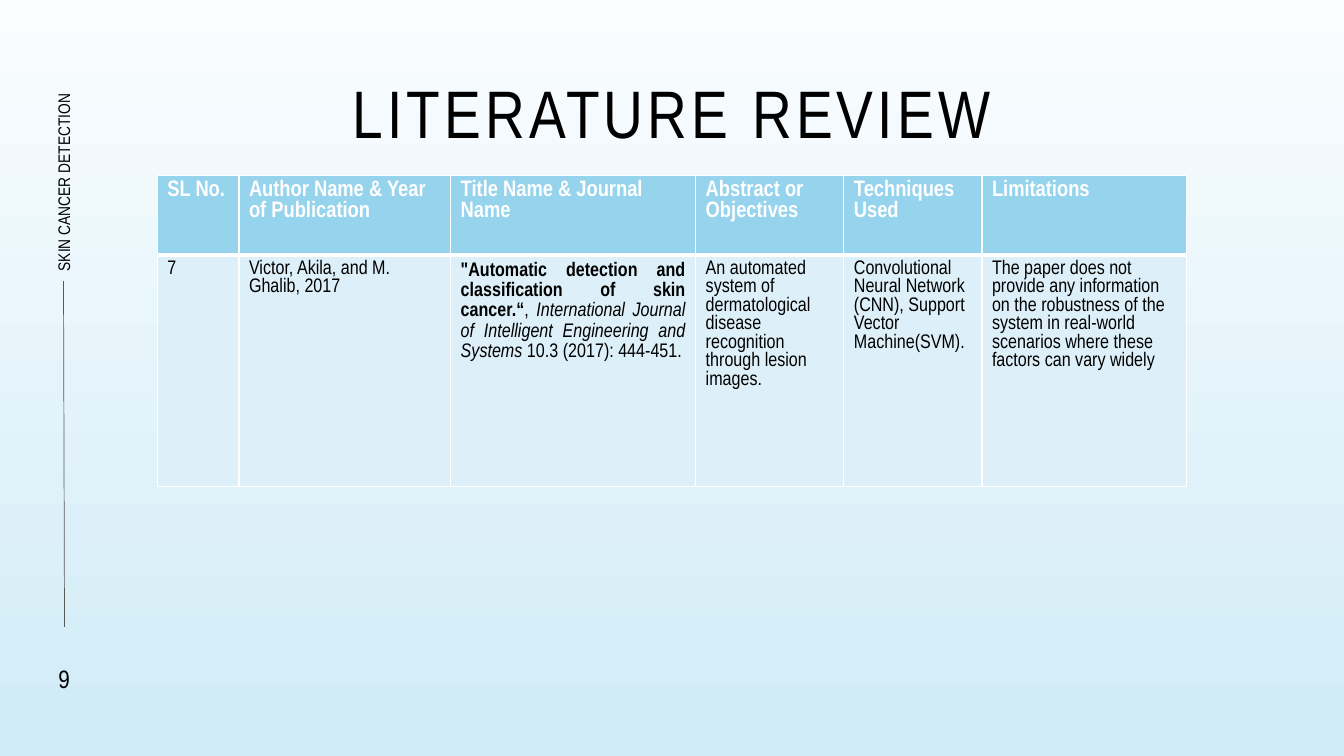
from pptx import Presentation, util as u
from pptx.dml.color import RGBColor
from pptx.enum import shapes, text
from pptx.oxml import parse_xml
from pptx.oxml.ns import nsdecls, qn

FONT = "Arial Narrow"
BLACK = RGBColor(0, 0, 0)
WHITE = RGBColor(255, 255, 255)
GREY = RGBColor(0x59, 0x59, 0x59)
HEAD = RGBColor(0x96, 0xD3, 0xED)
BODY = RGBColor(0xDD, 0xEF, 0xF8)
SKY = (RGBColor(0xFA, 0xFD, 0xFE), RGBColor(0xD0, 0xEB, 0xF7))

COLS = (0.81, 2.1, 2.43, 1.47, 1.37, 2.03)
ROWS = (0.79, 2.3)
HEADS = ("SL No.", "Author Name & Year of Publication", "Title Name & Journal Name",
         "Abstract or Objectives", "Techniques Used", "Limitations")
CITE = (("\"Automatic detection and classification of skin cancer.“", "b"), (", ", ""),
        ("International Journal of Intelligent Engineering and Systems", "i"),
        (" 10.3 (2017): 444-451.", ""))
PAPER = (
    "7",
    "Victor, Akila, and M. Ghalib, 2017",
    CITE,
    "An automated system of dermatological disease recognition through lesion images.",
    "Convolutional Neural Network (CNN), Support Vector Machine(SVM).",
    "The paper does not provide any information on the robustness of the system "
    "in real-world scenarios where these factors can vary widely",
)


def add_run(para, words, size, color=BLACK, style=""):
    """Add one run; style holds b for bold and i for italic."""
    run = para.add_run()
    run.text = words
    font = run.font
    font.name, font.size, font.color.rgb = FONT, u.Pt(size), color
    font.bold, font.italic = "b" in style, "i" in style
    return run


def add_label(slide, box, words, size):
    """Add a one-line text box and return it with its run."""
    label = slide.shapes.add_textbox(*map(u.Inches, box))
    label.text_frame.word_wrap = True
    return label, add_run(label.text_frame.paragraphs[0], words, size)


def add_sky(slide):
    """Fill the background from top to bottom."""
    fill = slide.background.fill
    fill.gradient()
    fill.gradient_angle = 270
    for stop, color in zip(fill.gradient_stops, SKY):
        stop.color.rgb = color


def add_title(slide, box):
    """Add the wide-spaced heading, centred in its box."""
    label, run = add_label(slide, box, "LITERATURE REVIEW", 48)
    frame = label.text_frame
    frame.margin_left = frame.margin_right = frame.margin_top = frame.margin_bottom = 0
    frame.vertical_anchor = text.MSO_ANCHOR.MIDDLE
    frame.paragraphs[0].alignment = text.PP_ALIGN.CENTER
    frame.paragraphs[0].line_spacing = 0.9
    run.font._element.set("spc", "300")


def add_side(slide, box):
    """Add the upright footer, the rule and the page number down a strip."""
    left, top, width, height = box
    mid = left + width / 2
    long, thick = 2.37, 0.32
    foot, _ = add_label(slide, (mid - long / 2, top + (long - thick) / 2, long, thick),
                        "SKIN CANCER DETECTION", 12)
    foot.rotation = 270
    add_label(slide, (left, top + height - 0.35, width, 0.35), "9", 18)
    rule = slide.shapes.add_connector(
        shapes.MSO_CONNECTOR.STRAIGHT,
        *map(u.Inches, (mid - 0.01, top + long, mid, top + 5.8)))
    rule.line.color.rgb, rule.line.width = GREY, u.Pt(0.5)
    rule._element.spPr.append(parse_xml(f"<a:effectLst {nsdecls('a')}/>"))


def set_edges(cell, widths):
    """Draw white cell edges with the given widths in points."""
    props = cell._tc.get_or_add_tcPr()
    for spot, (side, width) in enumerate(widths.items()):
        props.insert(spot, parse_xml(
            f'<a:ln{side} {nsdecls("a")} w="{u.Pt(width)}"><a:solidFill>'
            f'<a:srgbClr val="{WHITE}"/></a:solidFill></a:ln{side}>'))


def add_grid(slide, box):
    """Add the review table at the box's corner."""
    frame = slide.shapes.add_table(len(ROWS), len(COLS), *map(u.Inches, box))
    grid = frame.table
    for col, width in zip(grid.columns, COLS):
        col.width = u.Inches(width)
    looks = ((HEADS, HEAD, 16, WHITE, "b", {"L": 1, "R": 1, "T": 1, "B": 3}),
             (PAPER, BODY, 14, BLACK, "", {"L": 1, "R": 1, "T": 3, "B": 1}))
    for row, height, look in zip(grid.rows, ROWS, looks):
        row.height = u.Inches(height)
        items, back, size, color, style, edges = look
        for cell, item in zip(row.cells, items):
            cell.fill.solid()
            cell.fill.fore_color.rgb = back
            set_edges(cell, edges)
            para = cell.text_frame.paragraphs[0]
            if item is CITE:
                para.alignment, para.line_spacing = text.PP_ALIGN.JUSTIFY, 1.1
            parts = item if item is CITE else ((item, style),)
            for words, mark in parts:
                add_run(para, words, size, color, mark)


def main():
    """Build and save the slide."""
    deck = Presentation()
    deck.slide_width, deck.slide_height = u.Inches(13.33), u.Inches(7.5)
    slide = deck.slides.add_slide(deck.slide_layouts[6])
    add_sky(slide)
    add_title(slide, (2.23, 0.91, 8.87, 0.5))
    add_side(slide, (0.48, 0.42, 0.32, 6.46))
    add_grid(slide, (1.56, 1.74, sum(COLS), sum(ROWS)))
    deck.save("out.pptx")


if __name__ == "__main__":
    main()
